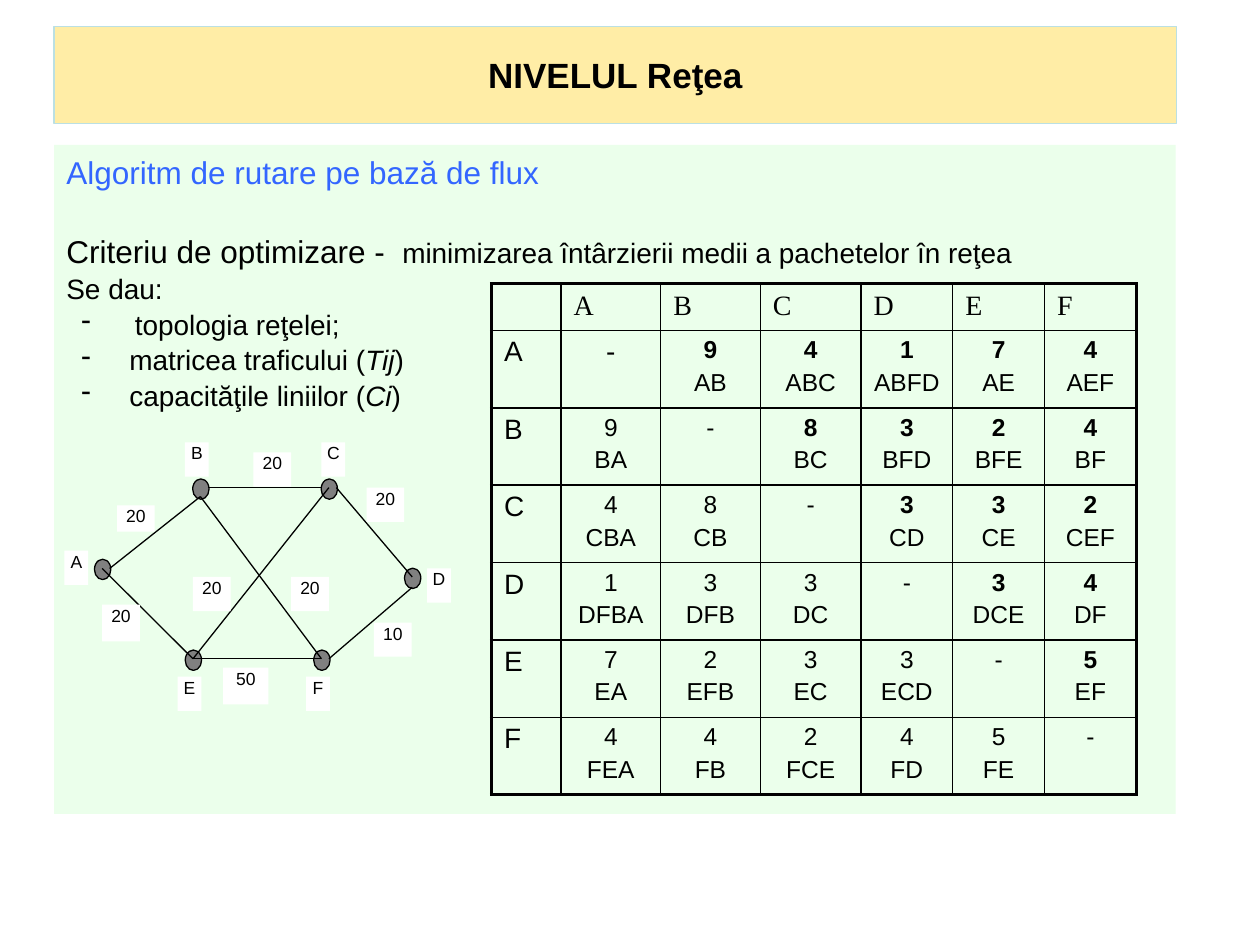
import dataclasses

import lxml.etree
import pptx
import pptx.dml.color
import pptx.enum.shapes
import pptx.enum.text
import pptx.oxml.ns
import pptx.util

Cm, Pt = pptx.util.Cm, pptx.util.Pt
qn = pptx.oxml.ns.qn
SHAPES = pptx.enum.shapes.MSO_SHAPE
ALIGN = pptx.enum.text.PP_ALIGN
ANCHOR = pptx.enum.text.MSO_ANCHOR


@dataclasses.dataclass(frozen=True)
class Theme:
    sans: str = "Arial"
    serif: str = "Times New Roman"
    black: str = "000000"
    white: str = "FFFFFF"
    heading: str = "3366FF"
    title_fill: str = "FFCC00"
    title_line: str = "BBE0E3"
    body_fill: str = "CCFFCC"
    node_fill: str = "808080"
    title_size: float = 20
    large: float = 18
    medium: float = 16
    route: float = 14
    label: float = 10
    thin: float = 0.75
    grid: float = 1
    frame: float = 2.25


THEME = Theme()
TITLE = "NIVELUL Reţea"
TITLE_BOX = (1.09, 0.53, 22.63, 1.96)
BODY_BOX = (1.09, 2.92, 22.61, 13.49)
HEADING = "Algoritm de rutare pe bază de flux"
CRITERION = ("Criteriu de optimizare -", "\tminimizarea întârzierii medii a pachetelor în reţea")
GIVEN = "Se dau:"
INPUTS = [
    (("topologia reţelei;",), 1.38),
    (("matricea traficului (", "Tij", ")"), 1.27),
    (("capacităţile liniilor (", "Ci", ")"), 1.27),
]
NODE_SIZE = (0.33, 0.41)
NAME_SIZE = (0.48, 0.69)
NODES = {
    "A": ((2.07, 11.48), (1.3, 11.1)),
    "B": ((4.05, 9.86), (3.73, 8.92)),
    "C": ((6.64, 9.86), (6.48, 8.92)),
    "D": ((8.32, 11.66), (8.61, 11.46)),
    "E": ((3.9, 13.31), (3.58, 13.64)),
    "F": ((6.49, 13.31), (6.17, 13.64)),
}
LINKS = [
    (2.21, 11.46, 4.04, 10.01),
    (4.19, 9.83, 6.48, 9.83),
    (6.78, 9.83, 8.31, 11.63),
    (6.63, 13.28, 8.31, 11.84),
    (3.89, 13.28, 6.48, 13.28),
    (2.06, 11.46, 3.89, 13.28),
    (3.89, 13.28, 6.63, 9.83),
    (4.04, 10.01, 6.48, 13.28),
]
CAPACITIES = [
    ("20", (2.36, 10.19, 0.76, 0.53)),
    ("20", (2.06, 12.19, 0.76, 0.74)),
    ("50", (4.5, 13.46, 0.91, 0.74)),
    ("20", (5.11, 9.12, 0.76, 0.69)),
    ("20", (7.39, 9.83, 0.76, 0.69)),
    ("10", (7.54, 12.55, 0.76, 0.69)),
    ("20", (5.87, 11.63, 0.76, 0.69)),
    ("20", (3.89, 11.63, 0.76, 0.69)),
]
TABLE_ORIGIN = (9.91, 5.72)
COLUMN_WIDTHS = (1.4, 2.01, 2.01, 2.03, 1.85, 1.85, 1.85)
ROW_HEIGHTS = (0.94,) + (1.56,) * 6
TRAFFIC = [
    ("", "A", "B", "C", "D", "E", "F"),
    ("A", "-", "9 AB", "4 ABC", "1 ABFD", "7 AE", "4 AEF"),
    ("B", "9 BA", "-", "8 BC", "3 BFD", "2 BFE", "4 BF"),
    ("C", "4 CBA", "8 CB", "-", "3 CD", "3 CE", "2 CEF"),
    ("D", "1 DFBA", "3 DFB", "3 DC", "-", "3 DCE", "4 DF"),
    ("E", "7 EA", "2 EFB", "3 EC", "3 ECD", "-", "5 EF"),
    ("F", "4 FEA", "4 FB", "2 FCE", "4 FD", "5 FE", "-"),
]


def rgb(color):
    return pptx.dml.color.RGBColor.from_string(color)


def style(paragraph, size, color=THEME.black, name=THEME.sans, bold=False, align=ALIGN.LEFT):
    paragraph.alignment = align
    font = paragraph.font
    font.name, font.size, font.bold = name, Pt(size), bold
    font.color.rgb = rgb(color)


def add_box(shapes, kind, box, fill, line=None, opacity=None):
    shape = shapes.add_shape(kind, *map(Cm, box))
    shape.shadow.inherit = False
    shape.fill.solid()
    shape.fill.fore_color.rgb = rgb(fill)
    if opacity:
        color = shape.fill._xPr.find(qn("a:solidFill"))[0]
        lxml.etree.SubElement(color, qn("a:alpha"), val=str(opacity * 1000))
    if line:
        shape.line.color.rgb = rgb(line)
        shape.line.width = Pt(THEME.thin)
    else:
        shape.line.fill.background()
    return shape


def add_label(shapes, text, box):
    frame = add_box(shapes, SHAPES.RECTANGLE, box, THEME.white).text_frame
    frame.margin_left = frame.margin_right = frame.margin_top = frame.margin_bottom = 0
    frame.vertical_anchor = ANCHOR.TOP
    frame.text = text
    style(frame.paragraphs[0], THEME.label, align=ALIGN.CENTER)


def add_body(shapes):
    frame = add_box(shapes, SHAPES.RECTANGLE, BODY_BOX, THEME.body_fill, opacity=39).text_frame
    frame.vertical_anchor = ANCHOR.TOP
    frame.text = "\n".join([HEADING, "", GIVEN] + [""] * len(INPUTS))
    heading, criterion, given, *items = frame.paragraphs
    style(heading, THEME.large, THEME.heading)
    tabs = lxml.etree.SubElement(criterion._p.get_or_add_pPr(), qn("a:tabLst"))
    lxml.etree.SubElement(tabs, qn("a:tab"), pos=str(Cm(6.77)), algn="l")
    style(criterion, THEME.large)
    criterion.space_before = Pt(22)
    for text, size in zip(CRITERION, (THEME.large, THEME.medium)):
        run = criterion.add_run()
        run.text, run.font.size = text, Pt(size)
    style(given, THEME.medium)
    for paragraph, (parts, margin) in zip(items, INPUTS):
        properties = paragraph._p.get_or_add_pPr()
        properties.set("marL", str(Cm(margin)))
        properties.set("indent", str(Cm(0.3 - margin)))
        lxml.etree.SubElement(properties, qn("a:buChar"), char="-")
        style(paragraph, THEME.medium)
        for index, text in enumerate(parts):
            run = paragraph.add_run()
            run.text, run.font.italic = text, index == 1
    for paragraph in frame.paragraphs:
        paragraph.line_spacing = 1.06


def add_network(shapes):
    width, height = NODE_SIZE
    for (x, y), _ in NODES.values():
        box = (x - width / 2, y - height / 2, width, height)
        add_box(shapes, SHAPES.OVAL, box, THEME.node_fill, THEME.black)
    for name, (_, corner) in NODES.items():
        add_label(shapes, name, corner + NAME_SIZE)
    for ends in LINKS:
        link = shapes.add_connector(pptx.enum.shapes.MSO_CONNECTOR.STRAIGHT, *map(Cm, ends))
        link.line.color.rgb = rgb(THEME.black)
        link.line.width = Pt(THEME.thin)
        lxml.etree.SubElement(link._element.spPr, qn("a:effectLst"))
    for text, box in CAPACITIES:
        add_label(shapes, text, box)


def set_borders(cell, outer_sides):
    properties = cell._tc.get_or_add_tcPr()
    for index, (side, outer) in enumerate(outer_sides.items()):
        width = Pt(THEME.frame if outer else THEME.grid)
        line = lxml.etree.Element(qn(f"a:ln{side}"), w=str(width))
        fill = lxml.etree.SubElement(line, qn("a:solidFill"))
        lxml.etree.SubElement(fill, qn("a:srgbClr"), val=THEME.black)
        properties.insert(index, line)


def fill_cell(cell, text, row, column):
    cell.text = text.replace(" ", "\n")
    is_header = row == 0 or column == 0
    size = THEME.medium if is_header or row == column == 1 else THEME.route
    for index, paragraph in enumerate(cell.text_frame.paragraphs):
        style(paragraph, size, name=THEME.sans if row else THEME.serif,
              bold=0 < row < column and index == 0,
              align=ALIGN.LEFT if is_header else ALIGN.CENTER)
        if index:
            paragraph.space_before = Pt(size * 0.2)
        if not text:
            lxml.etree.SubElement(paragraph._p, qn("a:endParaRPr"), sz=str(size * 100))


def add_traffic_table(shapes):
    last_row, last_column = len(ROW_HEIGHTS) - 1, len(COLUMN_WIDTHS) - 1
    table = shapes.add_table(len(ROW_HEIGHTS), len(COLUMN_WIDTHS), *map(Cm, TABLE_ORIGIN),
                             Cm(sum(COLUMN_WIDTHS)), Cm(sum(ROW_HEIGHTS))).table
    table.first_row = table.horz_banding = False
    for column, width in zip(table.columns, COLUMN_WIDTHS):
        column.width = Cm(width)
    for row, height in zip(table.rows, ROW_HEIGHTS):
        row.height = Cm(height)
    for row, texts in enumerate(TRAFFIC):
        for column, text in enumerate(texts):
            cell = table.cell(row, column)
            cell.fill.background()
            fill_cell(cell, text, row, column)
            set_borders(cell, {"L": column == 0, "R": column == last_column,
                               "T": row == 0, "B": row == last_row})


def main():
    """Build the flow-based routing slide."""
    presentation = pptx.Presentation()
    presentation.slide_width, presentation.slide_height = Cm(25.4), Cm(19.05)
    slide = presentation.slides.add_slide(presentation.slide_layouts[6])
    title = add_box(slide.shapes, SHAPES.RECTANGLE, TITLE_BOX, THEME.title_fill,
                    THEME.title_line, opacity=35)
    title.text_frame.text = TITLE
    title.text_frame.vertical_anchor = ANCHOR.MIDDLE
    style(title.text_frame.paragraphs[0], THEME.title_size, bold=True, align=ALIGN.CENTER)
    add_body(slide.shapes)
    add_network(slide.shapes.add_group_shape().shapes)
    add_traffic_table(slide.shapes)
    presentation.save("out.pptx")


if __name__ == "__main__":
    main()
